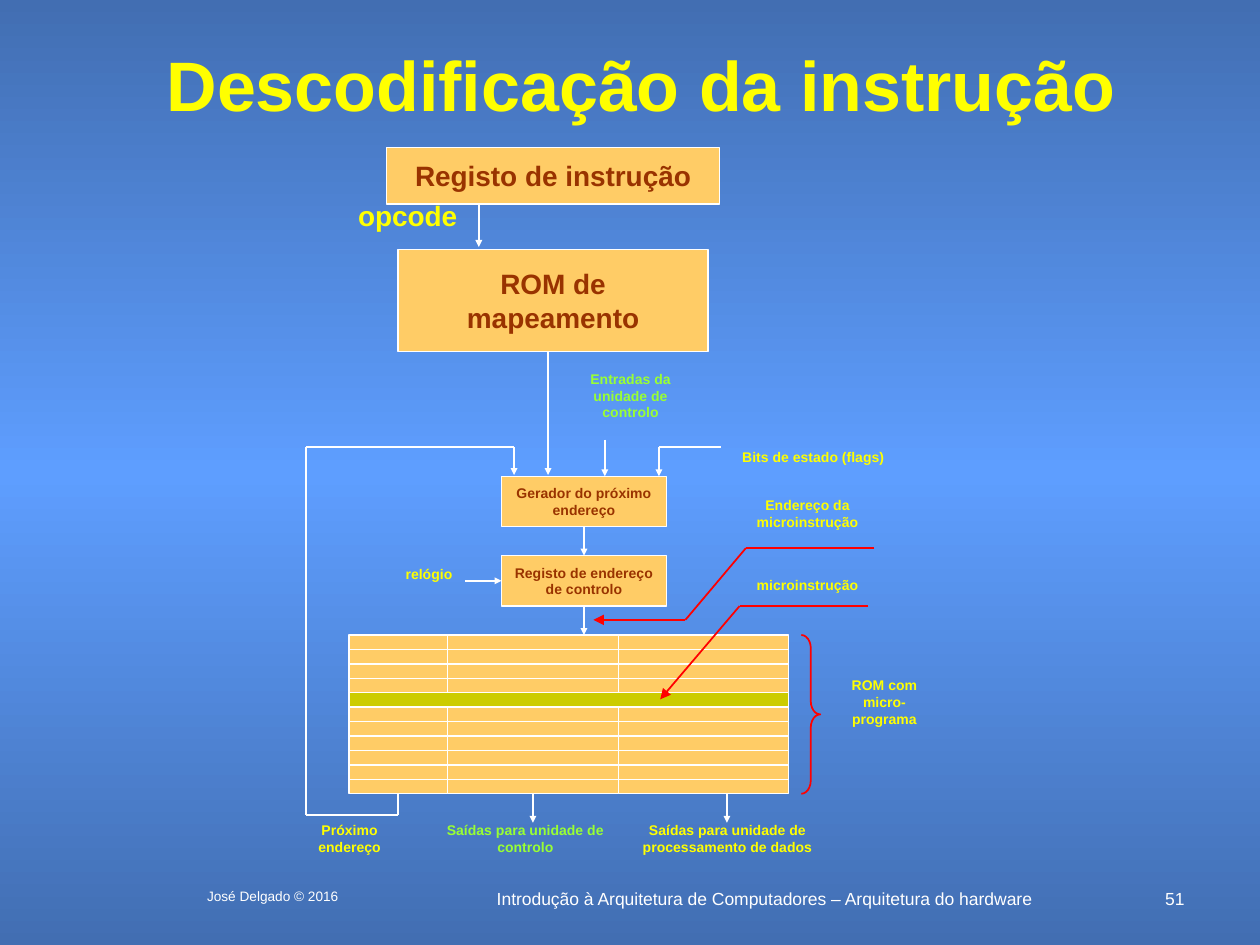
from copy import deepcopy
from dataclasses import dataclass
from typing import Optional

from pptx import Presentation
from pptx import util as u
from pptx.dml.color import RGBColor
from pptx.enum import shapes, text
from pptx.oxml.ns import qn
from pptx.oxml.xmlchemy import OxmlElement

COLUMNS, ROWS = 100, 75
WIDTH, HEIGHT = u.Inches(10), u.Inches(7.5)
FONT = "Arial"
WHITE, YELLOW, GREEN, RED = "FFFFFF", "FFFF00", "99FF33", "FF0000"
ORANGE, OLIVE, BROWN = "FFCC66", "CCCC00", "993300"
GRADIENT = ((0, "426EB2"), (0.5, "5E9EFF"), (1, "426EB2"))
CENTER, RIGHT = text.PP_ALIGN.CENTER, text.PP_ALIGN.RIGHT
TOP_SIDE, LEFT_SIDE, BOTTOM_SIDE = 0, 1, 2


@dataclass
class Area:
    column: float
    row: float
    columns: float
    rows: float

    def box(self) -> tuple:
        return x(self.column), y(self.row), x(self.columns), y(self.rows)


@dataclass
class Label:
    area: Area
    lines: tuple
    size: float = 8
    color: str = YELLOW
    bold: bool = True
    wrap: bool = False
    align: int = CENTER


@dataclass
class Block:
    name: str
    area: Area
    lines: tuple = ()
    size: float = 8
    fill: str = ORANGE


@dataclass
class Route:
    points: tuple
    color: str = WHITE
    start: Optional[tuple] = None
    end: Optional[tuple] = None


MEMORY = Area(27.7, 50.4, 34.9, 12.6)
MEMORY_BOTTOM = MEMORY.row + MEMORY.rows
WORDS, CURRENT_WORD = 11, 4
WORD_ROWS = MEMORY.rows / WORDS

FIELDS = [
    Block(name, Area(column, MEMORY.row, columns, MEMORY.rows))
    for name, column, columns in (
        ("next", 27.7, 7.8), ("control", 35.5, 13.6), ("data", 49.1, 13.5))
]
BLOCKS = [
    Block("instruction", Area(30.7, 11.7, 26.4, 4.5), ("Registo de instrução",), 16),
    Block("mapping", Area(31.6, 19.8, 24.6, 8.1), ("ROM de", "mapeamento"), 16),
    Block("generator", Area(39.8, 37.8, 13.1, 4), ("Gerador do próximo", "endereço")),
    Block("address", Area(39.8, 44.1, 13.1, 4), ("Registo de endereço", "de controlo")),
]
CURRENT = Block("current", Area(MEMORY.column, MEMORY.row + CURRENT_WORD * WORD_ROWS,
                                MEMORY.columns, WORD_ROWS), fill=OLIVE)
ROUTES = [
    Route(((38, 16.2), (38, 19.6))),
    Route(((43.5, 27.9), (43.5, 37.7))),
    Route(((48, 34.9), (48, 37.8))),
    Route(((57.2, 35.5), (52.3, 35.5), (52.3, 37.8))),
    Route(((46.35, 41.8), (46.35, 44.1)), start=("generator", BOTTOM_SIDE),
          end=("address", TOP_SIDE)),
    Route(((46.35, 48.1), (46.35, 50.4)), start=("address", BOTTOM_SIDE)),
    Route(((36.9, 46.1), (39.8, 46.1)), end=("address", LEFT_SIDE)),
    Route(((31.6, MEMORY_BOTTOM), (31.6, 64.7), (24.3, 64.7), (24.3, 35.5),
           (40.8, 35.5), (40.8, 37.7)), start=("next", BOTTOM_SIDE)),
    Route(((42.3, MEMORY_BOTTOM), (42.3, 65.3)), start=("control", BOTTOM_SIDE)),
    Route(((57.7, MEMORY_BOTTOM), (57.7, 65.3))),
    Route(((69.4, 43.5), (59.2, 43.5), (54.4, 49.2), (47.1, 49.2)), RED),
    Route(((68.9, 48.1), (58.7, 48.1), (52.4, 55.5)), RED),
]
LABELS = [
    Label(Area(27.4, 15.3, 9.9, 3.7), ("opcode",), 16),
    Label(Area(43.9, 28.9, 12.3, 5), ("Entradas da unidade de controlo",),
          color=GREEN, wrap=True),
    Label(Area(57.9, 35.1, 13.3, 2.4), ("Bits de estado (flags)",)),
    Label(Area(59.1, 38.9, 10, 3.7), ("Endereço da", "microinstrução")),
    Label(Area(59.1, 45.3, 10, 2.4), ("microinstrução",)),
    Label(Area(31.2, 44.4, 5.7, 2.4), ("relógio",)),
    Label(Area(65, 53.2, 10.4, 5), ("ROM com micro-", "programa"), wrap=True),
    Label(Area(23.4, 64.7, 8.7, 3.7), ("Próximo endereço",), wrap=True),
    Label(Area(34, 64.7, 15.4, 3.7), ("Saídas para unidade de controlo",),
          color=GREEN, wrap=True),
    Label(Area(47.6, 64.7, 20.3, 3.7),
          ("Saídas para unidade de processamento de dados",), wrap=True),
    Label(Area(13.3, 70, 16.7, 2.5), ("José Delgado © 2016",), 7.8, WHITE, False, True),
    Label(Area(33.3, 70, 54.7, 2.5),
          ("Introdução à Arquitetura de Computadores – Arquitetura do hardware",),
          10, WHITE, False, True),
    Label(Area(90.8, 70, 4.2, 1.7), ("51",), 10, WHITE, False, True, RIGHT),
]


def x(column: float) -> int:
    return round(WIDTH * column / COLUMNS)


def y(row: float) -> int:
    return round(HEIGHT * row / ROWS)


def rgb(value: str) -> RGBColor:
    return RGBColor.from_string(value)


def write(shape, lines: tuple, size: float, color: str, bold: bool = True,
          wrap: bool = False, align=CENTER, anchor=text.MSO_ANCHOR.TOP) -> None:
    frame = shape.text_frame
    frame.word_wrap = wrap
    frame.auto_size = text.MSO_AUTO_SIZE.NONE
    frame.vertical_anchor = anchor
    for index, line in enumerate(lines):
        paragraph = frame.add_paragraph() if index else frame.paragraphs[0]
        paragraph.alignment = align
        run = paragraph.add_run()
        run.text = line
        run.font.name, run.font.size, run.font.bold = FONT, u.Pt(size), bold
        run.font.color.rgb = rgb(color)


def draw_label(slide, label: Label) -> None:
    write(slide.shapes.add_textbox(*label.area.box()), label.lines, label.size,
          label.color, label.bold, label.wrap, label.align)


def draw_block(slide, block: Block):
    shape = slide.shapes.add_shape(shapes.MSO_SHAPE.RECTANGLE, *block.area.box())
    shape.shadow.inherit = False
    shape.fill.solid()
    shape.fill.fore_color.rgb = rgb(block.fill)
    shape.line.color.rgb = rgb(WHITE)
    shape.line.width = u.Pt(0.75)
    write(shape, block.lines, block.size, BROWN, anchor=text.MSO_ANCHOR.MIDDLE)
    return shape


def draw_line(slide, start: tuple, end: tuple, color: str = WHITE, points: float = 1):
    connector = slide.shapes.add_connector(
        shapes.MSO_CONNECTOR.STRAIGHT, x(start[0]), y(start[1]), x(end[0]), y(end[1]))
    connector.line.color.rgb = rgb(color)
    connector.line.width = u.Pt(points)
    connector._element.spPr.append(OxmlElement("a:effectLst"))
    return connector


def draw_route(slide, route: Route, blocks: dict) -> None:
    lines = [draw_line(slide, start, end, route.color)
             for start, end in zip(route.points, route.points[1:])]
    if route.start:
        lines[0].begin_connect(blocks[route.start[0]], route.start[1])
    if route.end:
        lines[-1].end_connect(blocks[route.end[0]], route.end[1])
    arrow = OxmlElement("a:tailEnd")
    arrow.set("type", "triangle")
    for side in ("w", "len"):
        arrow.set(side, "med" if route.color == RED else "sm")
    lines[-1].line._get_or_add_ln().append(arrow)


def draw_brace(slide, area: Area) -> None:
    brace = slide.shapes.add_shape(shapes.MSO_SHAPE.RIGHT_BRACE, *area.box())
    brace.shadow.inherit = False
    brace.adjustments[0] = 0.7
    brace.fill.background()
    brace.line.color.rgb = rgb(RED)
    brace.line.width = u.Pt(1)


def paint_background(slide) -> None:
    fill = slide.background.fill
    fill.gradient()
    fill.gradient_angle = 270
    stops = slide._element.find(".//" + qn("a:gsLst"))
    while len(stops) < len(GRADIENT):
        stops.append(deepcopy(stops[0]))
    for stop, (position, color) in zip(fill.gradient_stops, GRADIENT):
        stop.position = position
        stop.color.rgb = rgb(color)


def main() -> None:
    presentation = Presentation()
    presentation.slide_width, presentation.slide_height = WIDTH, HEIGHT
    slide = presentation.slides.add_slide(presentation.slide_layouts[5])
    paint_background(slide)

    title = slide.shapes.title
    title.left, title.top, title.width, title.height = Area(7.5, 2.9, 86.7, 7.5).box()
    write(title, ("Descodificação da instrução",), 40, YELLOW, wrap=True,
          anchor=text.MSO_ANCHOR.MIDDLE)

    blocks = {block.name: draw_block(slide, block) for block in FIELDS + BLOCKS}
    for word in range(1, WORDS):
        row = MEMORY.row + word * WORD_ROWS
        draw_line(slide, (MEMORY.column, row), (MEMORY.column + MEMORY.columns, row),
                  points=0.75)
    draw_block(slide, CURRENT)
    draw_brace(slide, Area(63.6, MEMORY.row, 1.5, MEMORY.rows))
    for route in ROUTES:
        draw_route(slide, route, blocks)
    for label in LABELS:
        draw_label(slide, label)
    presentation.save("out.pptx")


if __name__ == "__main__":
    main()
